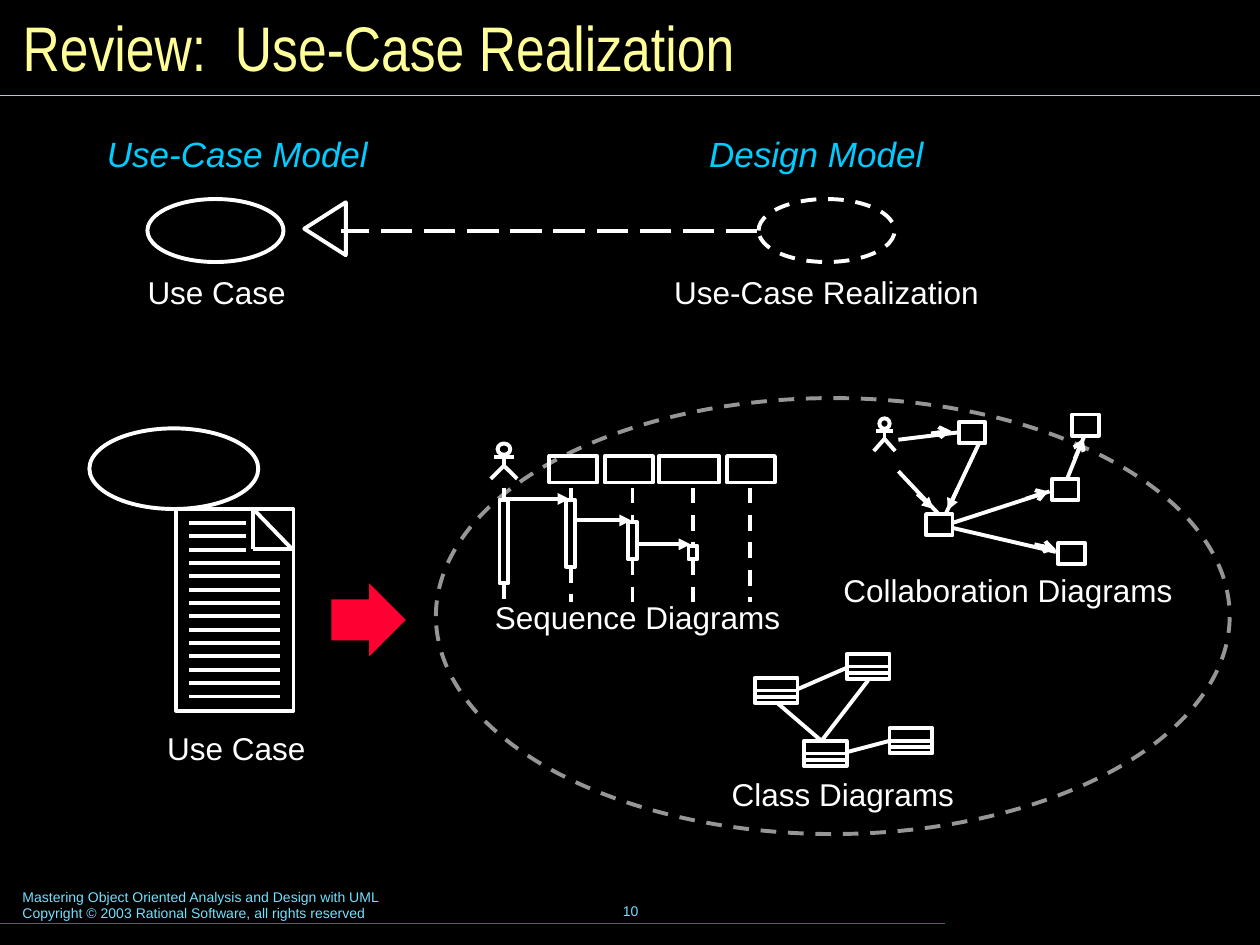
"""Build the use-case realization review slide."""
from lxml.etree import SubElement
from pptx import Presentation
from pptx.dml.color import RGBColor
from pptx.enum.dml import MSO_LINE as Dash
from pptx.enum.shapes import MSO_CONNECTOR as Connector, MSO_SHAPE as Shape
from pptx.enum.text import MSO_ANCHOR as Anchor, MSO_AUTO_SIZE as AutoSize, PP_ALIGN as Align
from pptx.oxml.ns import qn
from pptx.util import Cm, Pt

COLORS = {
    "background": "000000", "ink": "FFFFFF", "title": "FFFF99", "heading": "00CCFF",
    "footer": "73E1FF", "footer_rule": "007E9F", "boundary": "969696", "arrow": "FF0033",
}
CM_PER_INCH = 2.54
CAPTION_PADDING = 0.2


def grid(*inches):
    """Convert positions on the slide's inch grid to lengths."""
    return [Cm(value * CM_PER_INCH) for value in inches]


def rgb(role):
    """Look up the colour of a role."""
    return RGBColor.from_string(COLORS[role])


def style_line(line, color="ink", width=2.25, dash=None):
    """Set the colour, width and dash of a line."""
    line.color.rgb = rgb(color)
    line.width = Pt(width)
    if dash:
        line.dash_style = dash


def add_outline(slide, kind, left, top, width, height, color="ink", dash=None):
    """Add an unfilled preset shape."""
    outline = slide.shapes.add_shape(kind, *grid(left, top, width, height))
    outline.shadow.inherit = False
    outline.fill.background()
    style_line(outline.line, color, dash=dash)
    return outline


def add_line(slide, start, end, color="ink", width=2.25, dash=None, head=None):
    """Add a straight line, with an arrowhead at its end if asked."""
    link = slide.shapes.add_connector(Connector.STRAIGHT, *grid(*start, *end))
    style_line(link.line, color, width, dash)
    properties = link.element.spPr
    if head:
        SubElement(properties.find(qn("a:ln")), qn("a:tailEnd"), type=head)
    SubElement(properties, qn("a:effectLst"))


def format_text(frame, lines, size, color, font="Arial", align=Align.LEFT, italic=False):
    """Fill a text frame with equally formatted paragraphs."""
    frame.text = "\n".join(lines)
    for paragraph in frame.paragraphs:
        paragraph.alignment = align
        paragraph.font.name = font
        paragraph.font.size = Pt(size)
        paragraph.font.italic = italic
        paragraph.font.color.rgb = rgb(color)


def add_text(slide, box, lines, size, color, anchor=Anchor.TOP, **style):
    """Add a text box."""
    frame = slide.shapes.add_textbox(*grid(*box)).text_frame
    frame.word_wrap = True
    frame.vertical_anchor = anchor
    format_text(frame, lines, size, color, **style)


def add_caption(slide, left, top, width, caption):
    """Add a centred caption, padded on both sides to stay on one line."""
    box = (left - CAPTION_PADDING, top, width + 2 * CAPTION_PADDING, 0.4)
    add_text(slide, box, [caption], 18, "ink", align=Align.CENTER)


def add_actor(slide, x, top, width, height):
    """Add a stick figure centred on x."""
    neck, shoulder, hip, foot = (top + height * part for part in (0.32, 0.39, 0.63, 1))
    head, reach = width * 0.48, width * 0.38
    add_outline(slide, Shape.OVAL, x - head / 2, top, head, neck - top)
    add_line(slide, (x, neck), (x, hip))
    add_line(slide, (x - reach, shoulder), (x + reach, shoulder))
    builder = slide.shapes.build_freeform(*grid(x - width / 2, foot))
    builder.add_line_segments([grid(x, hip), grid(x + width / 2, foot)], close=False)
    legs = builder.convert_to_shape()
    legs.shadow.inherit = False
    legs.fill.background()
    style_line(legs.line)


def add_frame(slide):
    """Add the title, the rules and the footer."""
    title = slide.shapes.title
    title.left, title.top, title.width, title.height = grid(0.08, 0.08, 9.84, 0.58)
    title.text_frame.auto_size = AutoSize.NONE
    title.text_frame.vertical_anchor = Anchor.MIDDLE
    format_text(title.text_frame, ["Review:  Use-Case Realization"], 36, "title", "Arial Narrow")
    add_line(slide, (0, 0.76), (10, 0.76), "footer", 0.75)
    add_line(slide, (0, 7.33), (7.5, 7.33), "footer_rule", 0.75)
    add_text(slide, (0.08, 7, 5.1, 0.37),
             ["Mastering Object Oriented Analysis and Design with UML",
              "Copyright © 2003 Rational Software, all rights reserved"], 8, "footer")
    add_text(slide, (3.42, 6.98, 3.17, 0.5), ["10"], 8, "footer",
             anchor=Anchor.MIDDLE, align=Align.CENTER)


def add_models(slide):
    """Add the use case and the realization that points to it."""
    for left, heading in ((0.75, "Use-Case Model"), (5.53, "Design Model")):
        add_text(slide, (left, 1, 2.83, 0.44), [heading], 20, "heading", italic=True)
    add_outline(slide, Shape.OVAL, 1.17, 1.58, 1.08, 0.5)
    add_caption(slide, 1.07, 2.12, 1.3, "Use Case")
    add_outline(slide, Shape.OVAL, 6.02, 1.58, 1.08, 0.5, dash=Dash.DASH)
    add_caption(slide, 5.25, 2.12, 2.62, "Use-Case Realization")
    add_line(slide, (6.01, 1.83), (2.71, 1.83), dash=Dash.LONG_DASH)
    add_outline(slide, Shape.ISOSCELES_TRIANGLE, 2.37, 1.65, 0.42, 0.33).rotation = 270


def add_specification(slide):
    """Add the use case with its written page, and the arrow leading on."""
    add_outline(slide, Shape.OVAL, 0.71, 3.4, 1.34, 0.64)
    add_outline(slide, Shape.RECTANGLE, 1.4, 4.04, 0.93, 1.6)
    fold = [(2.01, 4.04), (2.32, 4.36), (2.01, 4.36)]
    for start, end in zip(fold, fold[1:] + fold[:1]):
        add_line(slide, start, end)
    for row in range(14):
        y = 4.15 + row * 0.106
        add_line(slide, (1.5, y), (1.95 if row < 3 else 2.22, y))
    add_caption(slide, 1.03, 5.74, 1.69, "Use Case")
    arrow = slide.shapes.add_shape(Shape.RIGHT_ARROW, *grid(2.63, 4.63, 0.59, 0.58))
    arrow.adjustments[0], arrow.adjustments[1] = 0.56, 0.5
    arrow.shadow.inherit = False
    arrow.fill.solid()
    arrow.fill.fore_color.rgb = rgb("arrow")
    arrow.line.fill.background()


def add_sequence(slide):
    """Add the sequence diagram."""
    add_caption(slide, 3.82, 4.7, 2.48, "Sequence Diagrams")
    add_actor(slide, 4, 3.52, 0.21, 0.28)
    for left, width in ((4.36, 0.38), (4.8, 0.38), (5.23, 0.48), (5.77, 0.38)):
        add_outline(slide, Shape.RECTANGLE, left, 3.62, width, 0.21)
    lifeline_top, lifeline_end = 3.87, 4.78
    activations = ((4, 3.97, 0.66), (4.53, 3.97, 0.53), (5.02, 4.14, 0.3), (5.5, 4.33, 0.11))
    for x, top, height in activations:
        add_line(slide, (x, lifeline_top), (x, top), dash=Dash.DASH)
        add_outline(slide, Shape.RECTANGLE, x - 0.035, top, 0.07, height)
        add_line(slide, (x, top + height), (x, lifeline_end), dash=Dash.DASH)
    add_line(slide, (5.95, lifeline_top), (5.95, lifeline_end), dash=Dash.DASH)
    for start, end, y in ((3.99, 4.52, 3.96), (4.56, 5.01, 4.13), (5.07, 5.48, 4.32)):
        add_line(slide, (start, y), (end, y), head="triangle")


def add_collaboration(slide):
    """Add the collaboration diagram."""
    add_actor(slide, 7.02, 3.32, 0.17, 0.26)
    for left, top in ((7.61, 3.35), (7.35, 4.08), (8.4, 4.31), (8.35, 3.8), (8.51, 3.29)):
        add_outline(slide, Shape.RECTANGLE, left, top, 0.21, 0.17)
    links = (
        ((7.13, 3.74), (7.45, 4.08)), ((7.13, 3.49), (7.62, 3.43)), ((7.56, 4.19), (8.38, 4.38)),
        ((7.56, 4.15), (8.33, 3.9)), ((8.47, 3.8), (8.61, 3.45)), ((7.77, 3.52), (7.51, 4.07)),
    )
    messages = (
        ((7.28, 3.92), (7.41, 4.04), "triangle"), ((7.6, 3.88), (7.52, 4.05), "triangle"),
        ((8.14, 3.96), (8.32, 3.9), "arrow"), ((8.21, 4.32), (8.38, 4.36), "arrow"),
        ((8.53, 3.64), (8.6, 3.48), "arrow"), ((7.39, 3.44), (7.55, 3.42), "arrow"),
    )
    for start, end in links:
        add_line(slide, start, end)
    for start, end, head in messages:
        add_line(slide, start, end, head=head)
    add_caption(slide, 6.59, 4.48, 2.82, "Collaboration Diagrams")


def add_classes(slide):
    """Add the class diagram."""
    for left, top in ((5.99, 5.38), (6.72, 5.19), (6.38, 5.88), (7.06, 5.78)):
        add_outline(slide, Shape.RECTANGLE, left, top, 0.34, 0.2)
        for offset in (0.1, 0.15):
            add_line(slide, (left, top + offset), (left + 0.34, top + offset))
    associations = (((6.52, 5.88), (6.17, 5.58)), ((6.33, 5.47), (6.72, 5.3)),
                    ((6.72, 5.97), (7.06, 5.88)), ((6.52, 5.88), (6.89, 5.4)))
    for start, end in associations:
        add_line(slide, start, end)
    add_caption(slide, 5.71, 6.1, 1.96, "Class Diagrams")


def main():
    """Build and save the slide."""
    deck = Presentation()
    deck.slide_width, deck.slide_height = grid(10, 7.5)
    slide = deck.slides.add_slide(deck.slide_layouts[5])
    slide.background.fill.solid()
    slide.background.fill.fore_color.rgb = rgb("background")
    add_frame(slide)
    add_outline(slide, Shape.OVAL, 3.46, 3.16, 6.3, 3.46, "boundary", Dash.DASH)
    for add_part in (add_classes, add_specification, add_collaboration, add_models, add_sequence):
        add_part(slide)
    deck.save("out.pptx")


if __name__ == "__main__":
    main()
